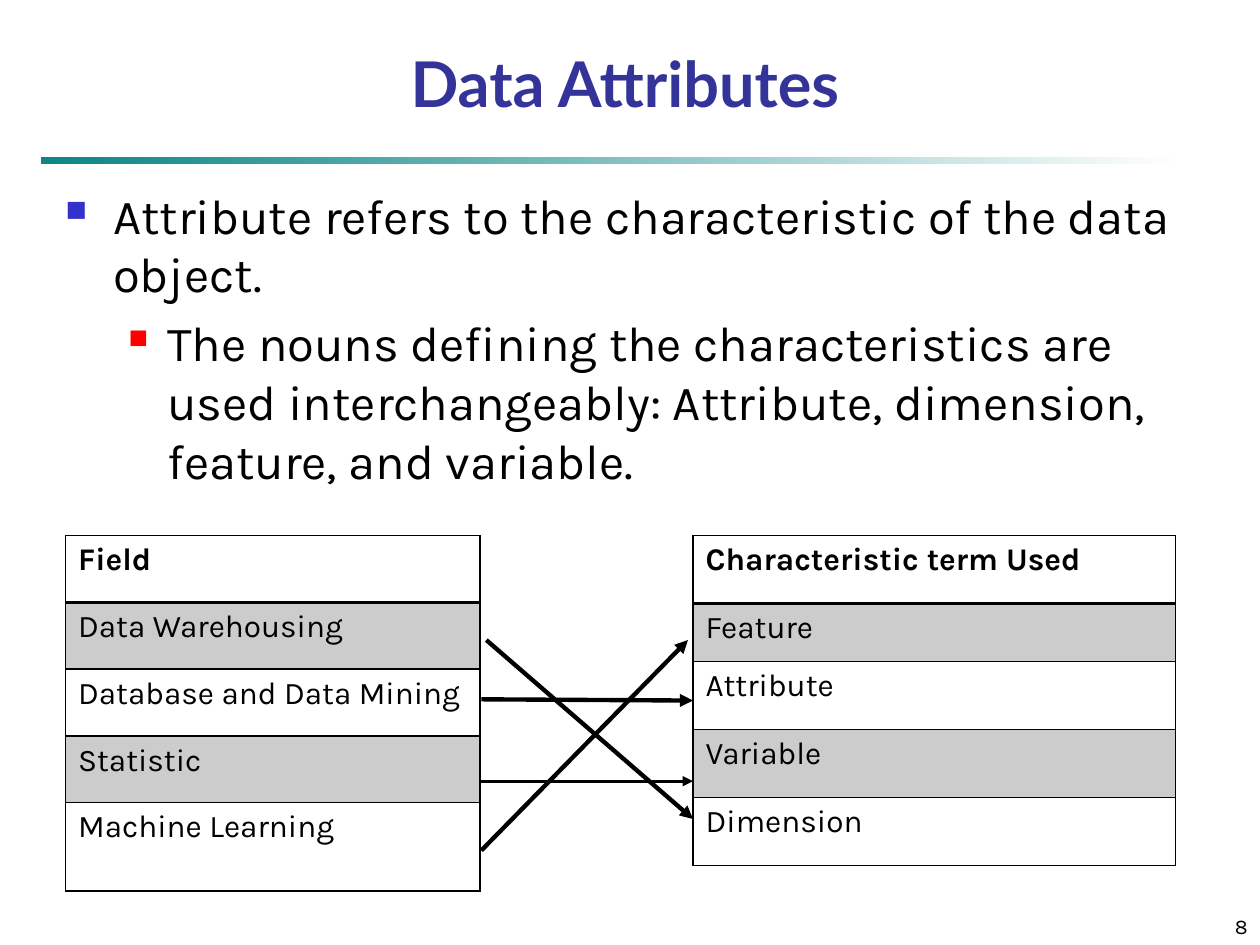
from dataclasses import dataclass

from lxml.etree import SubElement
from pptx import Presentation
from pptx.dml.color import RGBColor as RGB
from pptx.enum.shapes import MSO_CONNECTOR as CONN, MSO_SHAPE as SHAPE
from pptx.enum.text import MSO_ANCHOR as ANCHOR, PP_ALIGN as ALIGN
from pptx.oxml.ns import qn
from pptx.util import Inches, Pt


@dataclass(frozen=True)
class Theme:
    title_font: str = "Lato"
    body_font: str = "Karla"
    title_size: int = 36
    body_size: int = 28
    table_size: int = 18
    number_size: int = 12
    title: str = "333399"
    ink: str = "000000"
    rule: str = "008080"
    paper: str = "FFFFFF"
    bullets: tuple = ("3333CC", "FF0000")


THEME = Theme()

BODY = [  # text, left margin, hanging indent, bullet size in percent
    ("Attribute refers to the characteristic of the data object.", 0.38, 0.38, 60),
    ("The nouns defining the characteristics are used interchangeably: "
     "Attribute, dimension, feature, and variable.", 0.81, 0.31, 55),
]
FIELDS = ["Field", "Data Warehousing", "Database and Data Mining",
          "Statistic", "Machine Learning"]
TERMS = ["Characteristic term Used", "Feature", "Attribute", "Variable", "Dimension"]
ARROWS = [  # start, end, width
    ((3.82, 6.75), (5.46, 5.08), 2.5),
    ((3.82, 6.2), (5.5, 6.2), 1.5),
    ((3.86, 5.08), (5.5, 6.5), 2.5),
    ((3.82, 5.55), (5.5, 5.56), 2.5),
]


def style_runs(p, size, font=THEME.body_font, color=THEME.ink, bold=False):
    for r in p.runs:
        r.font.size = Pt(size)
        r.font.name = font
        r.font.bold = bold
        r.font.color.rgb = RGB.from_string(color)


def set_opacity(element, percent):
    """Make the first RGB colour inside element partly transparent."""
    color = next(element.iter(qn("a:srgbClr")))
    SubElement(color, qn("a:alpha"), val=str(percent * 1000))


def add_text_frame(slide, box, anchor=ANCHOR.TOP):
    tf = slide.shapes.add_textbox(*map(Inches, box)).text_frame
    tf.word_wrap = True
    tf.vertical_anchor = anchor
    return tf


def add_label(slide, text, box, align, size, **style):
    p = add_text_frame(slide, box, ANCHOR.BOTTOM).paragraphs[0]
    p.text = text
    p.alignment = align
    style_runs(p, size, **style)


def add_title_rule(slide):
    sp = slide.shapes.add_shape(SHAPE.RECTANGLE, Inches(0.33), Inches(1.25),
                                Inches(9), Inches(0.05))
    sp.shadow.inherit = False
    sp.line.fill.background()
    sp.fill.gradient()
    sp.fill.gradient_angle = 0
    for stop, color in zip(sp.fill.gradient_stops, (THEME.rule, THEME.paper)):
        stop.color.rgb = RGB.from_string(color)
    set_opacity(sp.element.spPr, 95)


def set_bullet(p, margin, hanging, color, percent):
    pPr = p._p.get_or_add_pPr()
    pPr.set("marL", str(Inches(margin)))
    pPr.set("indent", str(-Inches(hanging)))
    SubElement(SubElement(pPr, qn("a:buClr")), qn("a:srgbClr"), val=color)
    SubElement(pPr, qn("a:buSzPct"), val=str(percent * 1000))
    SubElement(pPr, qn("a:buChar"), char="■")


def add_body(slide):
    tf = add_text_frame(slide, (0.42, 1.42, 9.17, 2.6))
    for level, (text, margin, hanging, percent) in enumerate(BODY):
        p = tf.add_paragraph() if level else tf.paragraphs[0]
        p.text = text
        p.level = level
        p.space_before = Pt(0.2 * THEME.body_size)
        set_bullet(p, margin, hanging, THEME.bullets[level], percent)
        style_runs(p, THEME.body_size)


def set_borders(cell, top, bottom):
    tcPr = cell._tc.get_or_add_tcPr()
    for side, width in zip("LRTB", (1, 1, top, bottom)):
        ln = SubElement(tcPr, qn(f"a:ln{side}"), w=str(Pt(width)))
        SubElement(SubElement(ln, qn("a:solidFill")), qn("a:srgbClr"), val=THEME.ink)


def add_term_table(slide, left, width, texts, heights):
    """Add a one-column table with a ruled header and every other row shaded."""
    table = slide.shapes.add_table(len(texts), 1, Inches(left), Inches(4.25),
                                   Inches(width), Inches(sum(heights))).table
    table.first_row = table.horz_banding = False
    for i, (text, height) in enumerate(zip(texts, heights)):
        table.rows[i].height = Inches(height)
        cell = table.cell(i, 0)
        cell.text_frame.text = text
        style_runs(cell.text_frame.paragraphs[0], THEME.table_size, bold=i == 0)
        set_borders(cell, top=2 if i == 1 else 1, bottom=2 if i == 0 else 1)
        if i % 2:
            cell.fill.solid()
            cell.fill.fore_color.rgb = RGB.from_string(THEME.ink)
            set_opacity(cell._tc.tcPr.find(qn("a:solidFill")), 20)
        else:
            cell.fill.background()


def add_arrow(slide, start, end, width):
    line = slide.shapes.add_connector(CONN.STRAIGHT, *map(Inches, start + end))
    line.line.width = Pt(width)
    line.line.color.rgb = RGB.from_string(THEME.ink)
    SubElement(line.line._get_or_add_ln(), qn("a:tailEnd"), type="triangle")
    SubElement(line._element.spPr, qn("a:effectLst"))


def main():
    prs = Presentation()
    prs.slide_width, prs.slide_height = Inches(10), Inches(7.5)
    slide = prs.slides.add_slide(prs.slide_layouts[6])
    add_title_rule(slide)
    add_label(slide, "Data Attributes", (0.17, 0.33, 9.58, 0.67), ALIGN.CENTER,
              THEME.title_size, font=THEME.title_font, color=THEME.title, bold=True)
    add_body(slide)
    add_label(slide, "8", (7.92, 7.08, 2.08, 0.42), ALIGN.RIGHT, THEME.number_size)
    add_term_table(slide, 0.52, 3.29, FIELDS, [0.53] * 4 + [0.7])
    add_term_table(slide, 5.5, 3.83, TERMS, [0.54, 0.46] + [0.54] * 3)
    for start, end, width in ARROWS:
        add_arrow(slide, start, end, width)
    prs.save("out.pptx")


if __name__ == "__main__":
    main()
